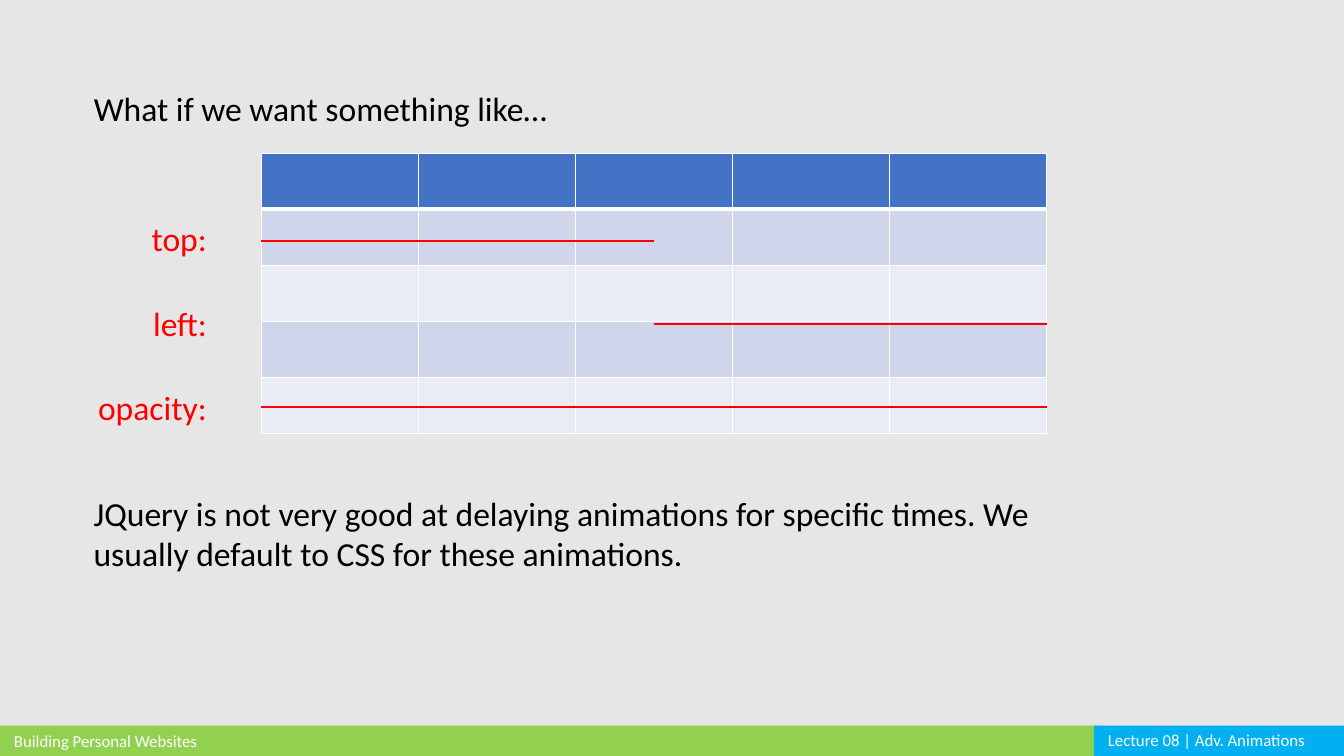
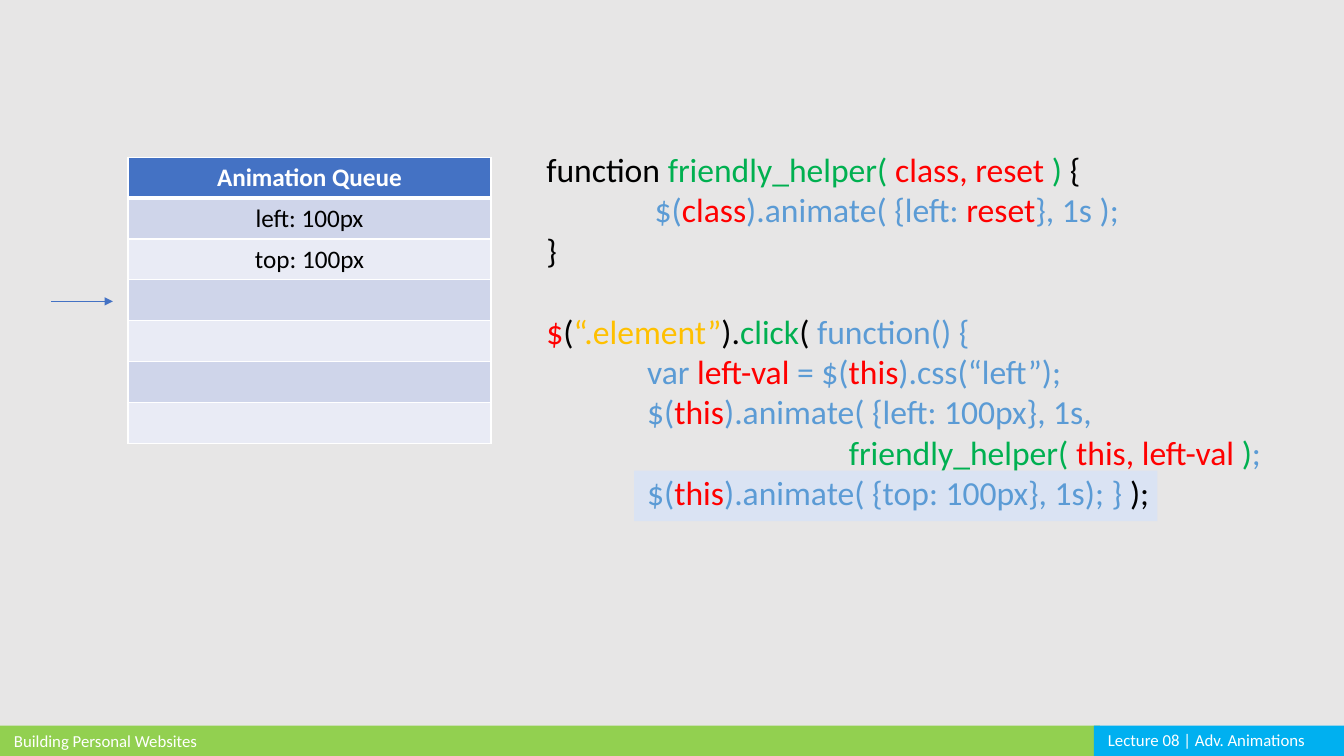
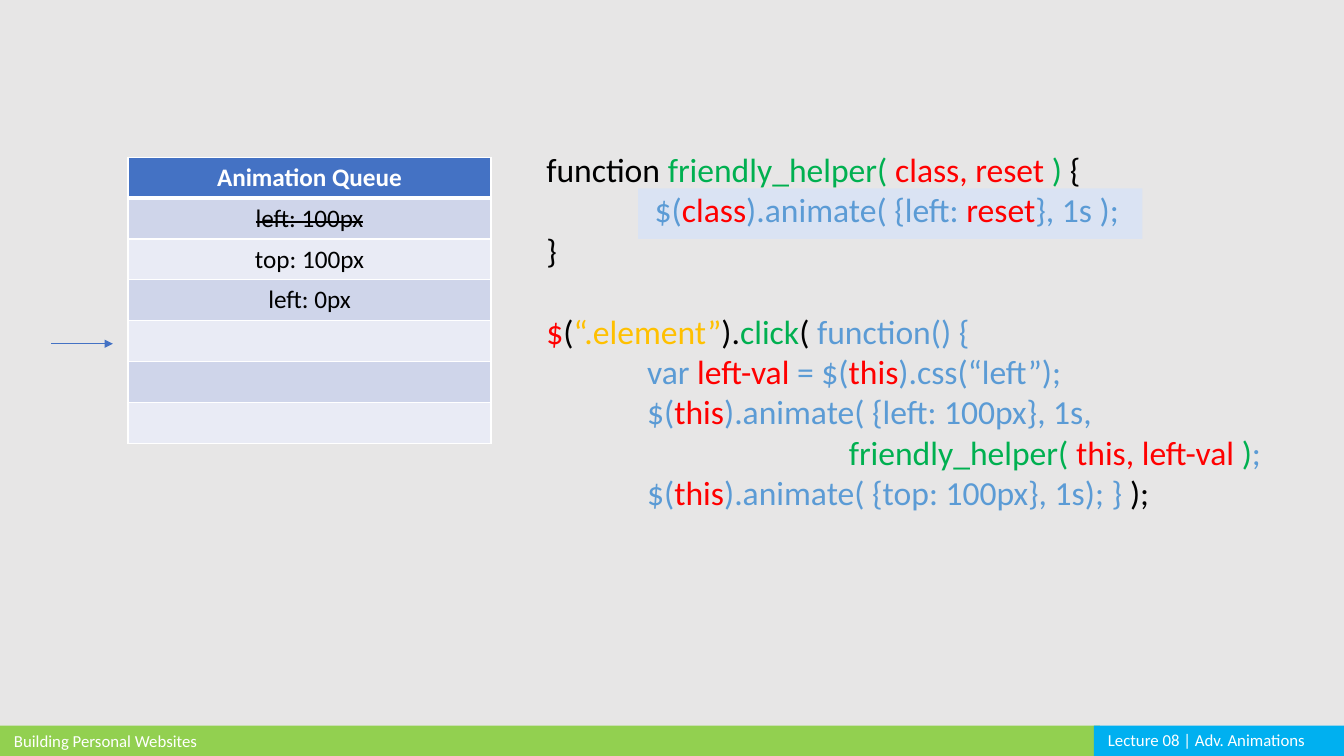
from dataclasses import dataclass

from lxml import etree
from pptx import Presentation
from pptx.dml.color import RGBColor
from pptx.enum.shapes import MSO_CONNECTOR, MSO_SHAPE
from pptx.enum.text import MSO_ANCHOR, MSO_AUTO_SIZE, PP_ALIGN
from pptx.oxml.ns import qn
from pptx.util import Inches, Pt

RECT = MSO_SHAPE.RECTANGLE
STRAIGHT = MSO_CONNECTOR.STRAIGHT
LEFT, CENTER, RIGHT = PP_ALIGN.LEFT, PP_ALIGN.CENTER, PP_ALIGN.RIGHT

# Shared look
FONT = "Calibri"
GREY = RGBColor(0xE7, 0xE6, 0xE6)
WHITE = RGBColor(0xFF, 0xFF, 0xFF)
BLACK = RGBColor(0x00, 0x00, 0x00)
RED = RGBColor(0xFF, 0x00, 0x00)
GREEN = RGBColor(0x00, 0xB0, 0x50)
GOLD = RGBColor(0xFF, 0xC0, 0x00)
BLUE = RGBColor(0x5B, 0x9B, 0xD5)
HEADER_BLUE = RGBColor(0x44, 0x72, 0xC4)
ROW_DARK = RGBColor(0xCF, 0xD5, 0xEA)
ROW_LIGHT = RGBColor(0xE9, 0xEB, 0xF5)
HIGHLIGHT = RGBColor(0xDA, 0xE3, 0xF3)
BAND_GREEN = RGBColor(0x92, 0xD0, 0x50)
BAND_BLUE = RGBColor(0x00, 0xB0, 0xF0)

BODY = {"name": FONT, "size": Pt(24)}
FOOTER = {"name": FONT, "size": Pt(12)}
CELL = {"name": FONT, "size": Pt(18)}


@dataclass(frozen=True)
class Box:
    left: float
    top: float
    width: float
    height: float

    def emu(self) -> tuple:
        return tuple(Inches(v) for v in (self.left, self.top, self.width, self.height))


@dataclass(frozen=True)
class Band:
    text: str
    color: RGBColor
    bar: Box
    label: Box


@dataclass(frozen=True)
class Track:
    name: str
    label_top: float
    y: float
    start: float  # share of the timeline width
    end: float


@dataclass(frozen=True)
class CodeLine:
    indent: int
    runs: list
    gap_before: bool = False


@dataclass(frozen=True)
class QueueStep:
    entries: list
    done: int  # finished entries are struck through
    arrow_y: float
    highlight: Box


BANDS = [
    Band("Building Personal Websites", BAND_GREEN,
         Box(0, 7.2, 10.91, 0.3), Box(0.04, 7.2, 2.93, 0.3)),
    Band("Lecture 08 | Adv. Animations", BAND_BLUE,
         Box(10.85, 7.2, 2.48, 0.3), Box(10.89, 7.19, 2.44, 0.3)),
]

TIMELINE = Box(2.59, 1.52, 7.79, 2.78)
TRACKS = [
    Track("top:", 2.11, 2.39, 0, 0.5),
    Track("left:", 2.96, 3.21, 0.5, 1),
    Track("opacity:", 3.79, 4.04, 0, 1),
]

QUEUE = Box(1.27, 1.56, 3.6, 2.84)
QUEUE_ROWS = 7
QUEUE_STEPS = [
    QueueStep(["left: 100px", "top: 100px"], 0, 2.99, Box(6.29, 4.67, 5.19, 0.5)),
    QueueStep(["left: 100px", "top: 100px", "left: 0px"], 1, 3.41,
              Box(6.33, 1.87, 5, 0.5)),
]

CODE_BOX = Box(5.32, 1.43, 7.64, 3.74)
CODE = [
    CodeLine(0, [("function ", BLACK), ("friendly_helper( ", GREEN),
                 ("class, reset ", RED), (")", GREEN), (" {", BLACK)]),
    CodeLine(1, [(" $(", BLUE), ("class", RED), (").animate( {left: ", BLUE),
                 ("reset", RED), ("}, 1s );", BLUE)]),
    CodeLine(0, [("}", BLACK)]),
    CodeLine(0, [("$", RED), ("(", BLACK), ("“.element”", GOLD), (").", BLACK),
                 ("click", GREEN), ("( ", BLACK), ("function() {", BLUE)], True),
    CodeLine(1, [("var", BLUE), (" left-val ", RED), ("= $(", BLUE),
                 ("this", RED), (").css(“left”);", BLUE)]),
    CodeLine(1, [("$(", BLUE), ("this", RED),
                 (").animate( {left: 100px}, 1s,", BLUE)]),
    CodeLine(3, [("friendly_helper( ", GREEN), ("this, left-val ", RED),
                 (")", GREEN), (";", BLUE)]),
    CodeLine(1, [("$(", BLUE), ("this", RED),
                 (").animate( {top: 100px}, 1s); } ", BLUE), (");", BLACK)]),
]


def add_run(p, text: str, color: RGBColor, style: dict):
    r = p.add_run()
    r.text = text
    for name, value in style.items():
        setattr(r.font, name, value)
    r.font.color.rgb = color
    return r


def add_text(s, box: Box, text: str, color: RGBColor, style: dict, align=LEFT) -> None:
    tf = s.shapes.add_textbox(*box.emu()).text_frame
    tf.word_wrap = True
    p = tf.paragraphs[0]
    p.alignment = align
    add_run(p, text, color, style)


def add_rect(s, box: Box, color: RGBColor) -> None:
    sp = s.shapes.add_shape(RECT, *box.emu())
    sp.shadow.inherit = False
    sp.fill.solid()
    sp.fill.fore_color.rgb = color
    sp.line.fill.background()


def add_line(s, x1: float, x2: float, y: float, color: RGBColor, width: float,
             arrow: bool = False) -> None:
    line = s.shapes.add_connector(STRAIGHT, Inches(x1), Inches(y), Inches(x2), Inches(y))
    line.line.color.rgb = color
    line.line.width = Pt(width)
    if arrow:
        etree.SubElement(line.line._get_or_add_ln(), qn("a:tailEnd"), type="triangle")
    etree.SubElement(line._element.spPr, qn("a:effectLst"))


def add_borders(cell, row: int) -> None:
    """White rules, with a thick one under the header row."""
    widths = {"L": 1, "R": 1, "T": 3 if row == 1 else 1, "B": 3 if row == 0 else 1}
    tc_pr = cell._tc.get_or_add_tcPr()
    for side, width in widths.items():
        ln = etree.SubElement(tc_pr, qn(f"a:ln{side}"), w=str(Pt(width)))
        fill = etree.SubElement(ln, qn("a:solidFill"))
        etree.SubElement(fill, qn("a:srgbClr"), val=str(WHITE))


def add_grid(s, box: Box, rows: int, cols: int):
    table = s.shapes.add_table(rows, cols, *box.emu()).table
    for col in table.columns:
        col.width = Inches(box.width / cols)
    for i, row in enumerate(table.rows):
        row.height = Inches(box.height / rows)
        color = HEADER_BLUE if i == 0 else ROW_DARK if i % 2 else ROW_LIGHT
        for cell in row.cells:
            add_borders(cell, i)
            cell.fill.solid()
            cell.fill.fore_color.rgb = color
    return table


def add_code(s) -> None:
    tf = s.shapes.add_textbox(*CODE_BOX.emu()).text_frame
    tf.word_wrap = True
    for i, line in enumerate(CODE):
        p = tf.add_paragraph() if i else tf.paragraphs[0]
        p._p.get_or_add_pPr().set("marL", str(Inches(line.indent)))
        if line.gap_before:
            p.space_before = Pt(29)
        for text, color in line.runs:
            add_run(p, text, color, BODY)


def add_bands(s) -> None:
    for band in BANDS:
        add_rect(s, band.bar, band.color)
        add_text(s, band.label, band.text, WHITE, FOOTER)


def add_title(s, box: Box, text: str) -> None:
    title = s.shapes.title
    title.left, title.top, title.width, title.height = box.emu()
    tf = title.text_frame
    tf.auto_size = MSO_AUTO_SIZE.NONE
    tf.vertical_anchor = MSO_ANCHOR.TOP
    p = tf.paragraphs[0]
    p.alignment = LEFT
    p.line_spacing = 1.5
    add_run(p, text, BLACK, BODY)


def timeline_slide(prs) -> None:
    s = prs.slides.add_slide(prs.slide_layouts[5])
    add_grid(s, TIMELINE, 5, 5)
    add_bands(s)
    add_title(s, Box(0.83, 0.62, 7.79, 0.64), "What if we want something like…")
    for track in TRACKS:
        add_text(s, Box(0.83, track.label_top, 1.32, 0.5), track.name, RED, BODY, RIGHT)
        x1, x2 = (TIMELINE.left + TIMELINE.width * share
                  for share in (track.start, track.end))
        add_line(s, x1, x2, track.y, RED, 1.5)
    add_text(s, Box(0.83, 4.84, 9.92, 0.91),
             "JQuery is not very good at delaying animations for specific times. "
             "We usually default to CSS for these animations.", BLACK, BODY)


def queue_slide(prs, step: QueueStep) -> None:
    s = prs.slides.add_slide(prs.slide_layouts[6])
    add_rect(s, step.highlight, HIGHLIGHT)
    add_bands(s)
    add_code(s)
    # Queue with its header and the entries so far
    table = add_grid(s, QUEUE, QUEUE_ROWS, 1)
    for i, text in enumerate(["Animation Queue", *step.entries]):
        p = table.cell(i, 0).text_frame.paragraphs[0]
        p.alignment = CENTER
        r = add_run(p, text, BLACK if i else WHITE, {**CELL, "bold": i == 0})
        if 1 <= i <= step.done:
            r._r.get_or_add_rPr().set("strike", "sngStrike")
    # Pointer to the next free row
    add_line(s, 0.51, 1.12, step.arrow_y, HEADER_BLUE, 0.5, arrow=True)


def main() -> None:
    prs = Presentation()
    prs.slide_width, prs.slide_height = Inches(13.33), Inches(7.5)
    background = prs.slide_master.background.fill
    background.solid()
    background.fore_color.rgb = GREY
    timeline_slide(prs)
    for step in QUEUE_STEPS:
        queue_slide(prs, step)
    prs.save("out.pptx")


if __name__ == "__main__":
    main()
